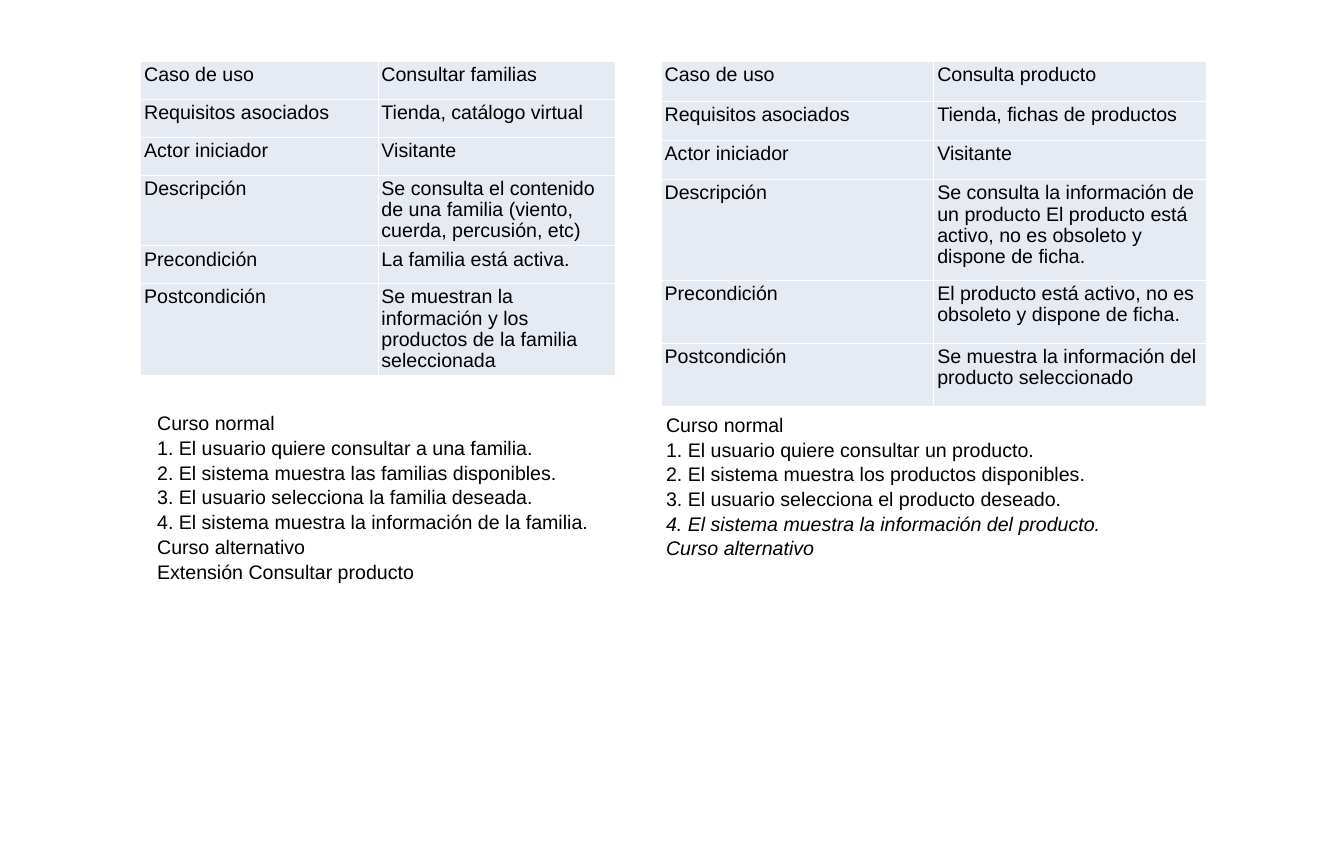
"""Build a slide with two use cases, each a table with its course of events below."""
import pptx
import pptx.util
import pptx.dml.color
import pptx.enum.text
import lxml.etree
import pptx.oxml.ns

Pt = pptx.util.Pt
COLORS = {"text": "000000", "cell": "E6EBF3", "border": "FFFFFF"}
FIELDS = ["Caso de uso", "Requisitos asociados", "Actor iniciador",
          "Descripción", "Precondición", "Postcondición"]
USE_CASES = [
    {
        "left": 200.88, "column": 339.12, "rows": [54, 54, 54, 86.4, 54, 86.4],
        "values": ["Consultar familias", "Tienda, catálogo virtual", "Visitante",
                   "Se consulta el contenido de una familia (viento, cuerda, percusión, etc)",
                   "La familia está activa.",
                   "Se muestran la información y los productos de la familia seleccionada"],
        "course_box": (217.44, 586.8, 645.84, 244.8),
        "course": ["Curso normal",
                   "1. El usuario quiere consultar a una familia.",
                   "2. El sistema muestra las familias disponibles.",
                   "3. El usuario selecciona la familia deseada.",
                   "4. El sistema muestra la información de la familia.",
                   "Curso alternativo",
                   "Extensión Consultar producto"],
        "italic_from": 7,
    },
    {
        "left": 944.64, "column": 389.52, "rows": [56.16, 56.16, 56.16, 144, 90, 90],
        "values": ["Consulta producto", "Tienda, fichas de productos", "Visitante",
                   "Se consulta la información de un producto El producto está activo, "
                   "no es obsoleto y dispone de ficha.",
                   "El producto está activo, no es obsoleto y dispone de ficha.",
                   "Se muestra la información del producto seleccionado"],
        "course_box": (944.64, 588.24, 724.32, 210.96),
        "course": ["Curso normal",
                   "1. El usuario quiere consultar un producto.",
                   "2. El sistema muestra los productos disponibles.",
                   "3. El usuario selecciona el producto deseado.",
                   "4. El sistema muestra la información del producto.",
                   "Curso alternativo"],
        "italic_from": 4,
    },
]


def write(paragraph, text, spacing, italic=False):
    paragraph.line_spacing = spacing
    run = paragraph.add_run()
    run.text = text
    run.font.name = "Arial"
    run.font.size = Pt(28)
    run.font.bold = False
    run.font.italic = italic
    run.font.color.rgb = pptx.dml.color.RGBColor.from_string(COLORS["text"])


def style_cell(cell):
    cell.margin_left = cell.margin_right = cell.margin_top = cell.margin_bottom = Pt(5.04)
    properties = cell._tc.get_or_add_tcPr()
    for side in ("a:lnL", "a:lnR", "a:lnT", "a:lnB"):
        line = lxml.etree.SubElement(properties, pptx.oxml.ns.qn(side), w=str(Pt(1)))
        solid = lxml.etree.SubElement(line, pptx.oxml.ns.qn("a:solidFill"))
        lxml.etree.SubElement(solid, pptx.oxml.ns.qn("a:srgbClr"), val=COLORS["border"])
    cell.fill.solid()
    cell.fill.fore_color.rgb = pptx.dml.color.RGBColor.from_string(COLORS["cell"])


deck = pptx.Presentation()
deck.slide_width, deck.slide_height = Pt(1920.24), Pt(1239.84)
slide = deck.slides.add_slide(deck.slide_layouts[6])

for use_case in USE_CASES:
    heights = use_case["rows"]
    table = slide.shapes.add_table(
        len(FIELDS), 2, Pt(use_case["left"]), Pt(87.84),
        Pt(2 * use_case["column"]), Pt(sum(heights))).table
    table.first_row = table.horz_banding = False
    for column in table.columns:
        column.width = Pt(use_case["column"])
    for row, height, field, value in zip(table.rows, heights, FIELDS, use_case["values"]):
        row.height = Pt(height)
        for cell, text in zip(row.cells, (field, value)):
            style_cell(cell)
            write(cell.text_frame.paragraphs[0], text, 0.97)

    course = slide.shapes.add_textbox(*map(Pt, use_case["course_box"])).text_frame
    course.word_wrap = True
    course.auto_size = pptx.enum.text.MSO_AUTO_SIZE.SHAPE_TO_FIT_TEXT
    course.vertical_anchor = pptx.enum.text.MSO_ANCHOR.MIDDLE
    for index, step in enumerate(use_case["course"]):
        paragraph = course.add_paragraph() if index else course.paragraphs[0]
        write(paragraph, step, 1.05, index >= use_case["italic_from"])

deck.save("out.pptx")
